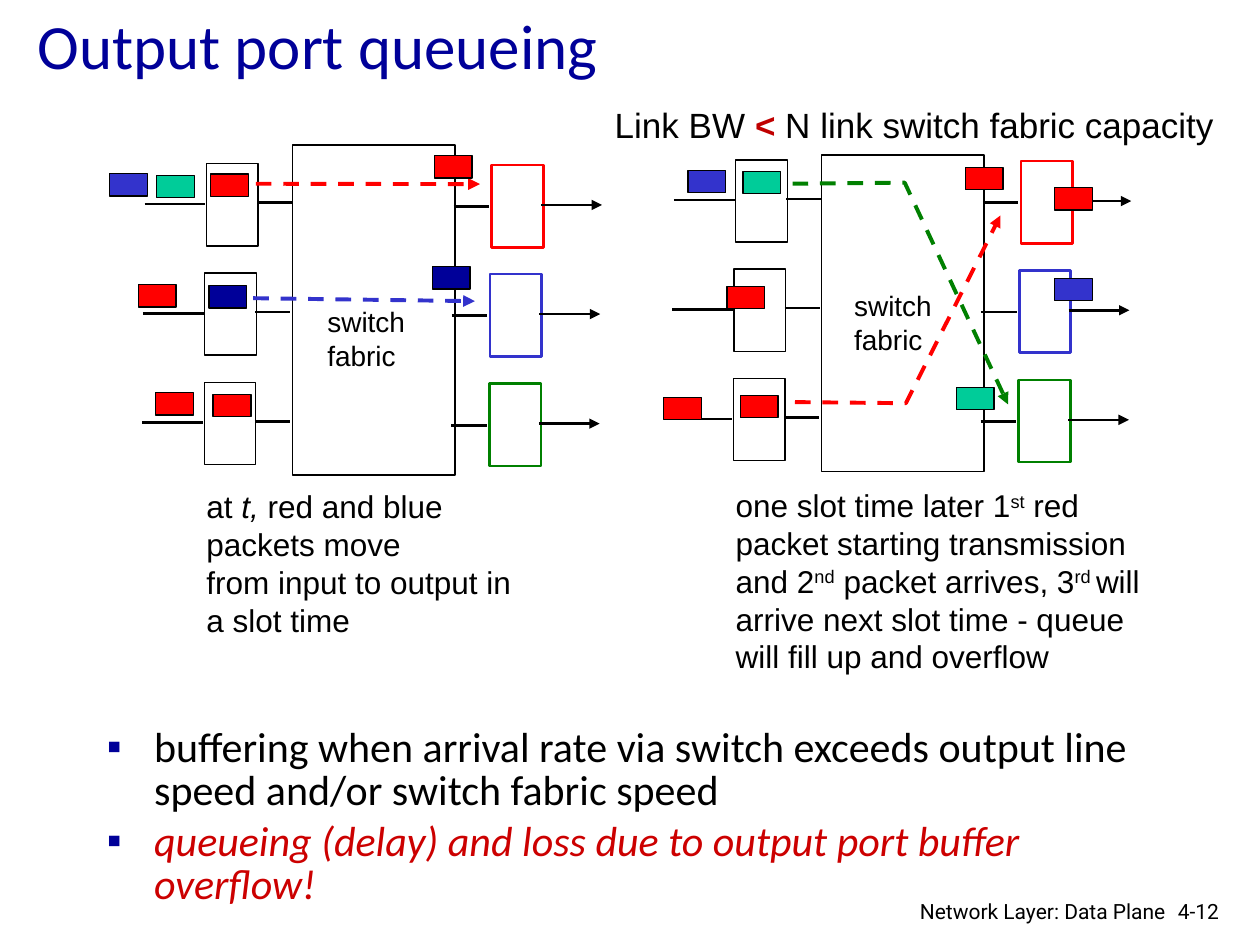
import lxml.etree
import pptx
import pptx.dml.color
import pptx.enum.dml
import pptx.enum.shapes
import pptx.enum.text
import pptx.oxml.ns
import pptx.util

Pt = pptx.util.Pt
qn = pptx.oxml.ns.qn

BLACK, WHITE, RED, NAVY = "000000", "FFFFFF", "FF0000", "000099"
BLUE, GREEN, TEAL = "3333CC", "008000", "00CC99"


def rgb(value):
    return pptx.dml.color.RGBColor.from_string(value)


def child(parent, tag, **attrs):
    return lxml.etree.SubElement(parent, qn(tag), **attrs)


class Deck:
    font = "Arial"
    port_size = (29.5, 47)
    packet_size = (21.6, 12.8)

    def __init__(self, prs):
        self.s = prs.slides.add_slide(prs.slide_layouts[6])

    def rect(self, x, y, w, h, fill=WHITE, line=BLACK, width=0.75):
        sp = self.s.shapes.add_shape(
            pptx.enum.shapes.MSO_SHAPE.RECTANGLE, Pt(x), Pt(y), Pt(w), Pt(h))
        sp.shadow.inherit = False
        sp.fill.solid()
        sp.fill.fore_color.rgb = rgb(fill)
        sp.line.color.rgb = rgb(line)
        sp.line.width = Pt(width)

    def packet(self, x, y, color):
        self.rect(x, y, *self.packet_size, fill=color)

    def stroke(self, sp, color, width, dash, arrow):
        sp.line.color.rgb = rgb(color)
        sp.line.width = Pt(width)
        if dash:
            sp.line.dash_style = pptx.enum.dml.MSO_LINE.DASH
        if arrow:
            child(sp.element.spPr.find(qn("a:ln")), "a:tailEnd", type="triangle")

    def line(self, x1, y1, x2, y2, color=BLACK, width=1.5, dash=False, arrow=False):
        sp = self.s.shapes.add_connector(
            pptx.enum.shapes.MSO_CONNECTOR.STRAIGHT, Pt(x1), Pt(y1), Pt(x2), Pt(y2))
        self.stroke(sp, color, width, dash, arrow)
        child(sp.element.spPr, "a:effectLst")

    def route(self, points, color):
        start, *rest = [(Pt(x), Pt(y)) for x, y in points]
        fb = self.s.shapes.build_freeform(*start)
        fb.add_line_segments(rest, close=False)
        sp = fb.convert_to_shape()
        sp.shadow.inherit = False
        sp.fill.background()
        self.stroke(sp, color, 2.25, True, True)

    def text(self, x, y, w, h, paragraphs, size, font=None, color=BLACK, wrap=True,
             middle=False, right=False, bullets=False):
        """Each paragraph is a list of (text, style) runs."""
        tf = self.s.shapes.add_textbox(Pt(x), Pt(y), Pt(w), Pt(h)).text_frame
        tf.word_wrap = wrap
        if middle:
            tf.vertical_anchor = pptx.enum.text.MSO_ANCHOR.MIDDLE
        for i, runs in enumerate(paragraphs):
            p = tf.add_paragraph() if i else tf.paragraphs[0]
            if right:
                p.alignment = pptx.enum.text.PP_ALIGN.RIGHT
            if bullets:
                self.bullet(p)
                p.line_spacing = 0.85
                if i:
                    p.space_before = Pt(4.8)
            for words, style in runs:
                r = p.add_run()
                r.text = words
                r.font.name = font or self.font
                r.font.size = Pt(size)
                r.font.color.rgb = rgb(style.get("color", color))
                if "bold" in style:
                    r.font.bold = True
                if "italic" in style:
                    r.font.italic = True
                if "raised" in style:
                    r.font.element.set("baseline", "30000") if hasattr(
                        r.font, "element") else r._r.get_or_add_rPr().set("baseline", "30000")

    def bullet(self, p):
        pPr = p._p.get_or_add_pPr()
        pPr.set("marL", str(Pt(27)))
        pPr.set("indent", str(-Pt(27)))
        child(child(pPr, "a:buClr"), "a:srgbClr", val=NAVY)
        child(pPr, "a:buFont", typeface="Arial")
        child(pPr, "a:buChar", char="▪")

    def switch(self, x, y, h, port_y):
        """Fabric with its left edge at x, and three input and output ports."""
        self.rect(x, y, 93, h)
        rows = [(0, 0, RED), (-1, 62.4, BLUE), (-1.3, 125, GREEN)]
        for dx, dy, color in rows:
            left, top = x + dx, port_y + dy
            self.rect(left - 49, top, *self.port_size)
            self.rect(left + 114, top + 0.7, *self.port_size, line=color, width=1.5)
            self.line(left + 92.2, top + 24.4, left + 112.5, top + 24.4)
            self.line(left - 20, top + 22.3, left, top + 22.3)
            self.line(left - 84.3, top + 23, left - 49.6, top + 23)
            self.line(left + 142.2, top + 23.5, left + 177, top + 23.5, arrow=True)


def main():
    prs = pptx.Presentation()
    prs.slide_width, prs.slide_height = Pt(720), Pt(540)
    d = Deck(prs)

    # Title and bullets
    d.text(14.4, 0, 695.5, 50.4, [[("Output port queueing", {})]], 36,
           font="Calibri", color=NAVY, middle=True)
    d.text(54, 412.6, 612, 96.5, [
        [("buffering when arrival rate via switch exceeds output line speed "
          "and/or switch fabric speed", {})],
        [("queueing (delay) and loss due to output port buffer overflow!",
          {"color": "CC0000", "italic": True})],
    ], 24, font="Calibri", bullets=True)

    # Two moments of the switch
    d.switch(167, 82.8, 188.6, 93.6)
    d.switch(469.4, 88.6, 180.7, 91.4)
    for x, y in [(180, 170.6), (481, 161.3)]:
        d.text(x, y, 59, 49, [[("switch", {})], [("fabric", {})]], 16, wrap=False)

    # Paths through the fabric
    d.line(146.2, 105, 274.3, 105.2, RED, 2.25, dash=True, arrow=True)
    d.line(144.7, 170.4, 271.4, 172.1, BLUE, 2.25, dash=True, arrow=True)
    d.route([(454.3, 229.8), (517.7, 230.4), (571.7, 123.1)], RED)
    d.route([(452.9, 105), (517, 104.4), (576, 231.1)], GREEN)

    # Packets at time t, then one slot later
    packets = [
        (120.4, 99.4, RED), (119.4, 163.3, NAVY), (121.8, 225.4, RED),
        (89.4, 100.2, TEAL), (89, 224.4, RED), (62.8, 99.2, BLUE),
        (79, 162.6, RED), (247, 152.4, NAVY), (248.2, 89, RED),
        (551.6, 95.6, RED), (602.6, 159, BLUE), (424.6, 98, TEAL),
        (423, 226, RED), (393.2, 97.4, BLUE), (415.4, 163.6, RED),
        (379.2, 227, RED), (602.6, 107.2, RED), (546.4, 221.3, TEAL),
    ]
    for packet in packets:
        d.packet(*packet)

    # Captions
    d.text(344.2, 55.4, 363, 31.7, [[
        ("Link BW ", {}), ("<", {"color": "C00000", "bold": True}),
        (" N link switch fabric capacity", {})]], 20, wrap=False)
    d.text(110.9, 275, 193.7, 98.6, [
        [("at ", {}), ("t,", {"italic": True}), (" red and blue packets move", {})],
        [("from input to output in a slot time", {})]], 18)
    raised = {"raised": True}
    d.text(413.3, 274.3, 248.4, 138.2, [[
        ("one slot time later 1", {}), ("st", raised),
        (" red packet starting transmission and 2", {}), ("nd", raised),
        (" packet arrives, 3", {}), ("rd ", raised),
        ("will arrive next slot time - queue will fill up and overflow", {})]], 18)

    # Footer
    d.text(501.8, 509.8, 171.4, 18.7, [[("Network Layer: Data Plane", {})]], 12,
           font="Roboto", right=True)
    d.text(666, 509.8, 43.9, 21.6, [[("4-12", {})]], 12, font="Roboto")

    prs.save("out.pptx")


if __name__ == "__main__":
    main()
